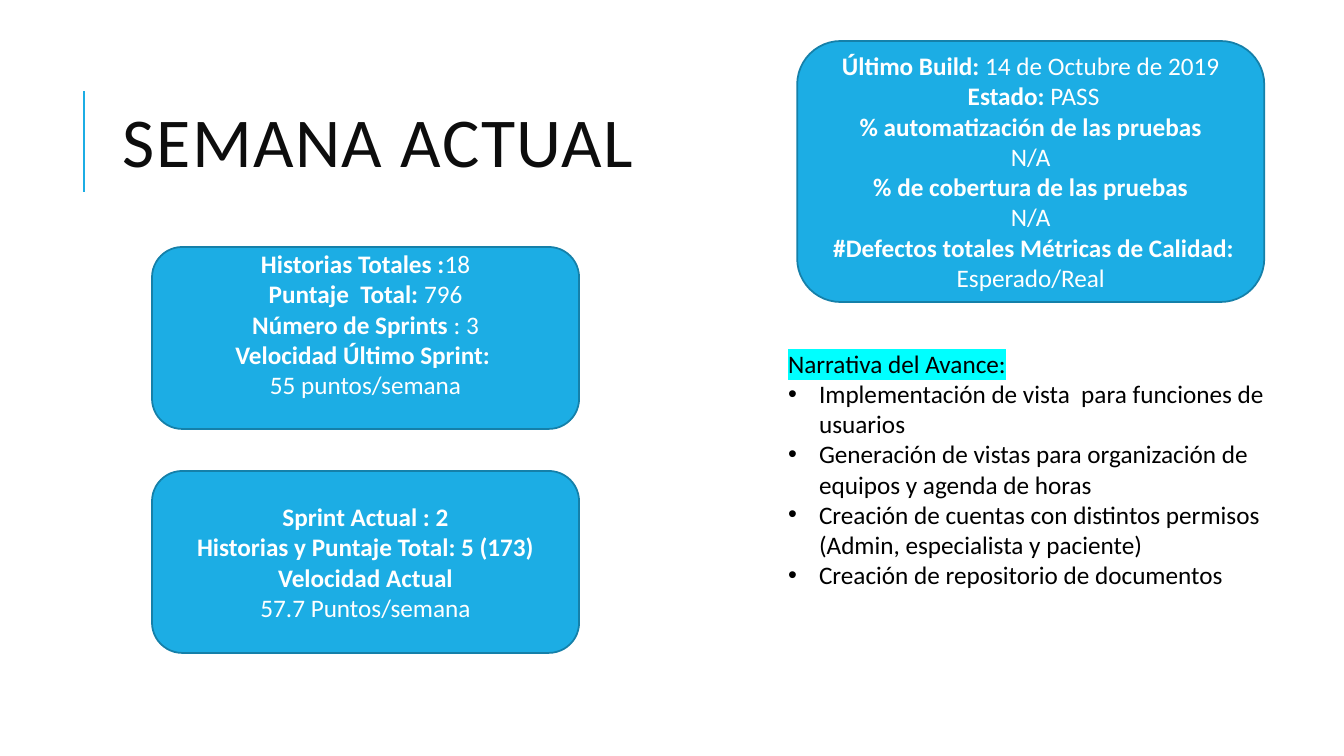
"""Build the weekly sprint status slide."""
from lxml import etree
from pptx import Presentation
from pptx import util as u
from pptx.dml.color import RGBColor
from pptx.enum import shapes, text
from pptx.oxml.ns import qn

PX = 914400 / 100.8
BLUE, EDGE, WHITE, BLACK, INK, CYAN = "1CADE4", "1580A9", "FFFFFF", "000000", "0D0D0D", "00FFFF"
TITLE = "SEMANA ACTUAL"
TITLE_AREA = (113, 65, 1072, 165)
ACCENT_LINE = (84, 192, 84, 91)
TOTALS = [
    [("Historias Totales :", True), ("18", False)],
    [("Puntaje  Total: ", True), ("796", False)],
    [("Número de Sprints ", True), (": 3", False)],
    [("Velocidad Último Sprint: ", True)],
    [("55 puntos/semana", False)],
]
CURRENT = [
    [("Sprint Actual : 2", True)],
    [("Historias y Puntaje Total: 5 (173)", True)],
    [("Velocidad Actual", True)],
    [("57.7 Puntos/semana", False)],
]
BUILD = [
    [("Último Build:", True), (" 14 de Octubre de 2019", False)],
    [(" Estado: ", True), ("PASS", False)],
    [(" % automatización de las pruebas ", True)],
    [("N/A", False)],
    [("% de cobertura de las pruebas", True)],
    [("N/A", False)],
    [(" #Defectos totales Métricas de Calidad: ", True), ("Esperado/Real", False)],
]
CARDS = [
    ((152, 247, 427, 182), TOTALS, {"margin_top": 0, "margin_bottom": 28}),
    ((152, 471, 427, 182), CURRENT, {}),
    ((797, 41, 467, 261), BUILD, {}),
]
NARRATIVE_AREA = (778, 343, 506, 254)
NARRATIVE = "Narrativa del Avance:"
ADVANCES = [
    "Implementación de vista  para funciones de usuarios",
    "Generación de vistas para organización de equipos y agenda de horas",
    "Creación de cuentas con distintos permisos (Admin, especialista y paciente)",
    "Creación de repositorio de documentos",
]
INDENT = 31


def px(*lengths):
    return [round(length * PX) for length in lengths]


def color(value):
    return RGBColor.from_string(value)


def apply(target, **formats):
    for name, value in formats.items():
        setattr(target, name, value)


def add_span(para, words, ink, size=18, bold=False):
    span = para.add_run()
    span.text = words
    apply(span.font, name="Calibri", size=u.Pt(size), bold=bold)
    span.font.color.rgb = color(ink)
    return span


def write(frame, lines, ink, align, size=18):
    paras = []
    for number, line in enumerate(lines):
        para = frame.add_paragraph() if number else frame.paragraphs[0]
        para.alignment = align
        for words, bold in line:
            add_span(para, words, ink, size, bold)
        paras.append(para)
    return paras


def add_text(page, area, anchor):
    frame = page.shapes.add_textbox(*px(*area)).text_frame
    apply(frame, word_wrap=True, vertical_anchor=anchor)
    return frame


def add_card(page, area, lines, margins):
    card = page.shapes.add_shape(shapes.MSO_SHAPE.ROUNDED_RECTANGLE, *px(*area))
    card.shadow.inherit = False
    card.fill.solid()
    card.fill.fore_color.rgb = color(BLUE)
    card.line.color.rgb = color(EDGE)
    card.line.width = u.Pt(1.25)
    frame = card.text_frame
    apply(frame, word_wrap=True, vertical_anchor=text.MSO_ANCHOR.MIDDLE)
    apply(frame, **{side: px(length)[0] for side, length in margins.items()})
    write(frame, lines, WHITE, text.PP_ALIGN.CENTER)


def add_title(page):
    accent = page.shapes.add_connector(shapes.MSO_CONNECTOR.STRAIGHT, *px(*ACCENT_LINE))
    accent.line.color.rgb = color(BLUE)
    accent.line.width = u.Pt(1.5)
    etree.SubElement(accent._element.spPr, qn("a:effectLst"))
    frame = add_text(page, TITLE_AREA, text.MSO_ANCHOR.MIDDLE)
    para = write(frame, [[(TITLE, False)]], INK, text.PP_ALIGN.LEFT, 50)[0]
    para.line_spacing = 0.8
    para.runs[0].font._element.set("spc", "100")


def add_narrative(page):
    frame = add_text(page, NARRATIVE_AREA, text.MSO_ANCHOR.TOP)
    lines = [[(words, False)] for words in [NARRATIVE, *ADVANCES]]
    heading, *items = write(frame, lines, BLACK, text.PP_ALIGN.LEFT)
    highlight = etree.Element(qn("a:highlight"))
    etree.SubElement(highlight, qn("a:srgbClr"), val=CYAN)
    heading.runs[0].font._element.find(qn("a:solidFill")).addnext(highlight)
    indent = px(INDENT)[0]
    for para in items:
        props = para._p.get_or_add_pPr()
        props.set("marL", str(indent))
        props.set("indent", str(-indent))
        etree.SubElement(props, qn("a:buFont"), typeface="Arial")
        etree.SubElement(props, qn("a:buChar"), char="•")


def main():
    deck = Presentation()
    apply(deck, slide_width=u.Inches(13.33), slide_height=u.Inches(7.5))
    page = deck.slides.add_slide(deck.slide_layouts[6])
    add_title(page)
    for area, lines, margins in CARDS:
        add_card(page, area, lines, margins)
    add_narrative(page)
    deck.save("out.pptx")


if __name__ == "__main__":
    main()
